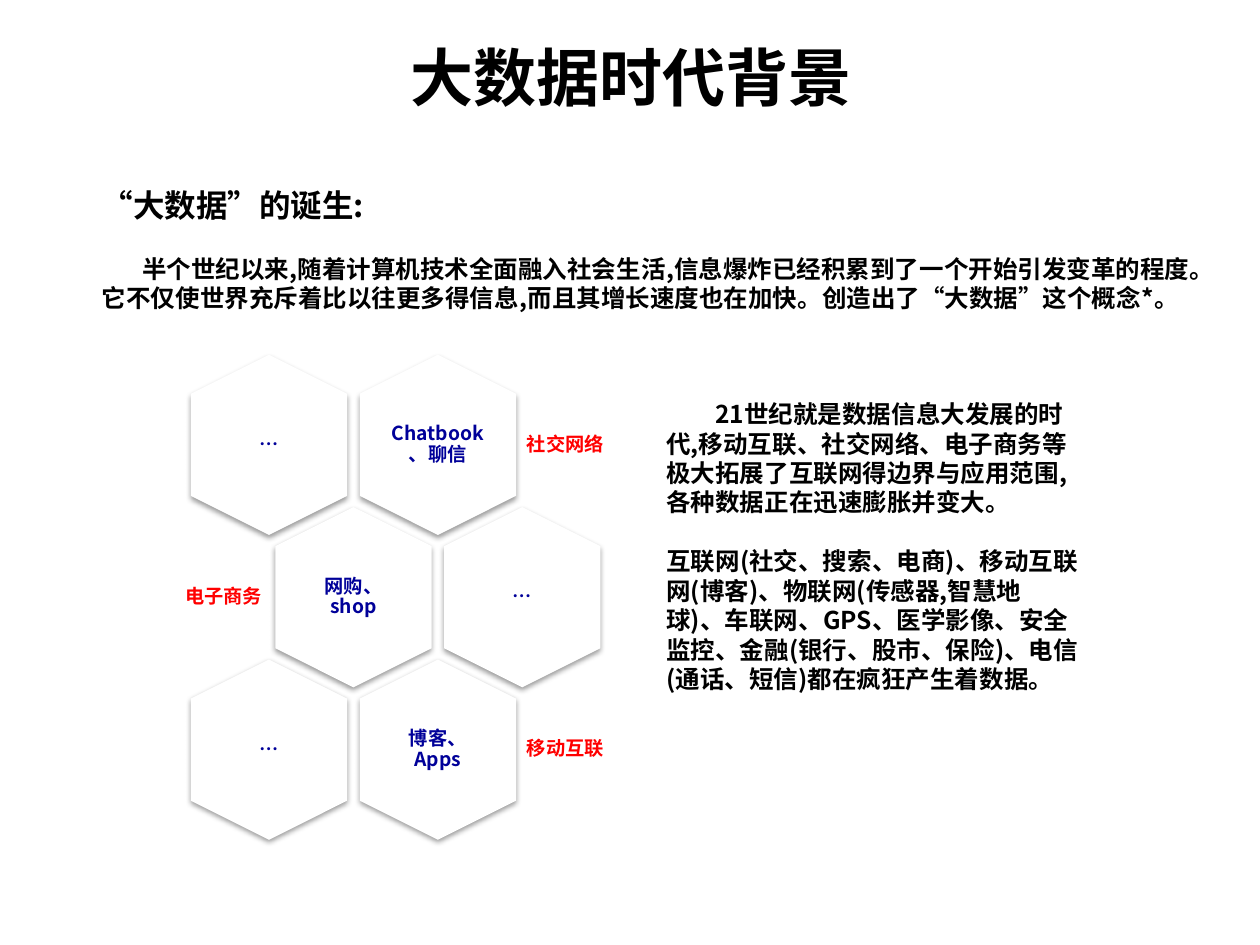
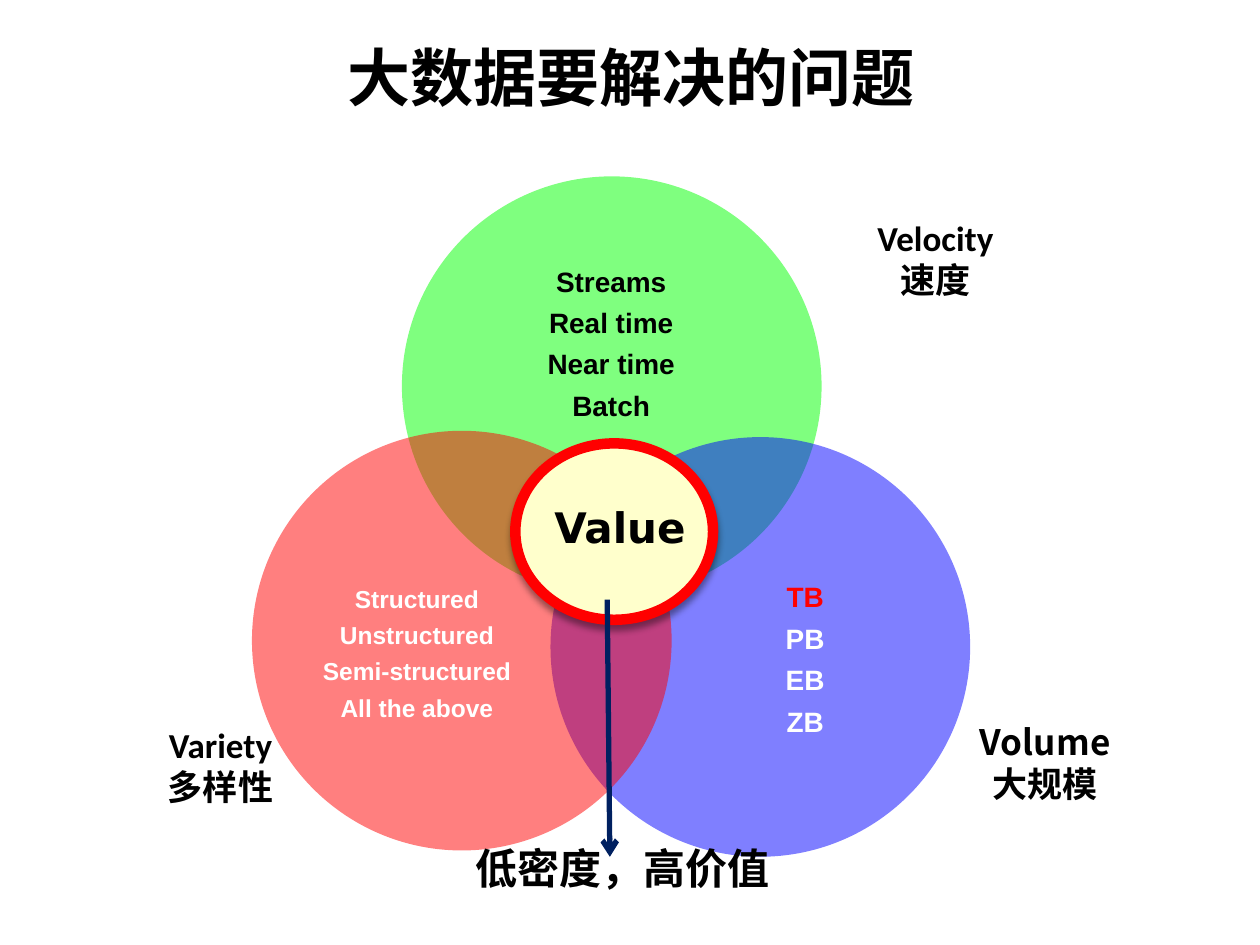
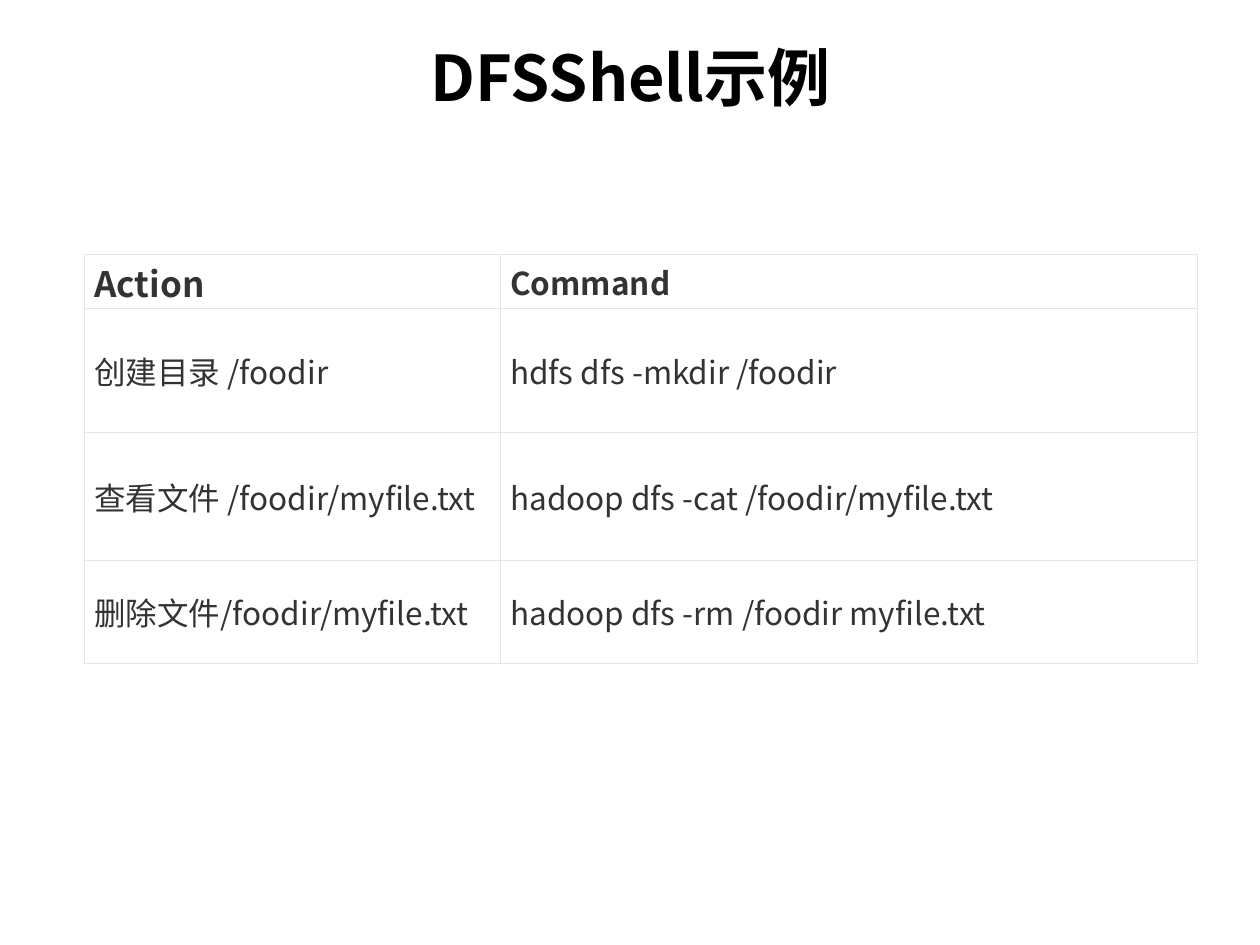
from lxml import etree
from pptx import Presentation
from pptx.dml.color import RGBColor as RGB
from pptx.enum.shapes import MSO_CONNECTOR as LINE, MSO_SHAPE as SHAPE
from pptx.enum.text import MSO_ANCHOR as ANCHOR, PP_ALIGN as ALIGN
from pptx.oxml.ns import qn
from pptx.util import Pt

COLORS = {
    "black": "000000", "white": "FFFFFF", "red": "FF0000", "green": "00FF00",
    "blue": "0000FF", "navy": "000099", "arrow": "002060", "cream": "FFFFCC",
    "gray": "333333", "rule": "E6E6E6",
}
CJK = "Noto Sans CJK SC"
MID, LEFT, RIGHT = ALIGN.CENTER, ALIGN.LEFT, ALIGN.RIGHT


def rgb(name):
    return RGB.from_string(COLORS[name])


def node(parent, tag, **attrs):
    return etree.SubElement(parent, qn(tag), {k: str(v) for k, v in attrs.items()})


class Deck:
    def __init__(self):
        self.prs = Presentation()
        self.prs.slide_width, self.prs.slide_height = Pt(720), Pt(540)
        self.slide = None

    def page(self, title):
        self.slide = self.prs.slides.add_slide(self.prs.slide_layouts[6])
        self.text((36.7, 8.6, 647.3, 69.8), [title], 36, align=MID, anchor=ANCHOR.MIDDLE)

    def style(self, para, size, color="black", font=CJK, bold=True, align=LEFT,
              line=None, before=0, after=0, indent=0):
        para.alignment = align
        if line:
            para.line_spacing = line
        if before:
            para.space_before = Pt(before)
        if after:
            para.space_after = Pt(after)
        if indent:
            para._p.get_or_add_pPr().set("indent", str(Pt(indent)))
        face = para.font
        face.size, face.bold, face.name = Pt(size), bold, font
        face.color.rgb = rgb(color)
        node(para._p.pPr.find(qn("a:defRPr")), "a:ea", typeface=CJK)

    def text(self, box, lines, size, anchor=ANCHOR.TOP, inset=None, **look):
        """Add a text box; a line is a string or a (string, own style) pair."""
        frame = self.slide.shapes.add_textbox(*map(Pt, box)).text_frame
        frame.word_wrap, frame.vertical_anchor = True, anchor
        if inset is not None:
            frame.margin_left = frame.margin_right = Pt(inset)
            frame.margin_top = frame.margin_bottom = Pt(inset)
        for i, item in enumerate(lines):
            words, own = (item, {}) if isinstance(item, str) else item
            para = frame.paragraphs[0] if i == 0 else frame.add_paragraph()
            para.text = words
            self.style(para, **{"size": size, **look, **own})

    def label(self, box, lines, size=11, inset=3.6, **look):
        """Add a tight, vertically centred text box."""
        self.text(box, lines, size, ANCHOR.MIDDLE, inset, line=0.9, **look)

    def shape(self, kind, box, fill, alpha=None, edge=None, shadow=None):
        item = self.slide.shapes.add_shape(kind, *map(Pt, box))
        item.fill.solid()
        item.fill.fore_color.rgb = rgb(fill)
        props = item.element.spPr
        if alpha:
            node(props.find(qn("a:solidFill"))[0], "a:alpha", val=alpha * 1000)
        if edge:
            item.line.color.rgb, item.line.width = rgb(edge), Pt(6)
        else:
            item.line.fill.background()
        item.shadow.inherit = False
        if shadow:
            dark, blur, dist = shadow
            outer = node(props.find(qn("a:effectLst")), "a:outerShdw", blurRad=Pt(blur),
                         dist=Pt(dist), dir=5400000, rotWithShape=0)
            tone = node(outer, "a:srgbClr", val=COLORS["black"])
            node(tone, "a:alpha", val=dark * 1000)
        return item

    def hexagon(self, x, y, words):
        """Add an upright hexagon centred on x, y with its words."""
        wide, high = 103, 89.3
        item = self.shape(SHAPE.HEXAGON, (x - wide / 2, y - high / 2, wide, high),
                          "white", shadow=(38, 3.1, 1.6))
        item.rotation = 90
        item.adjustments[0], item.adjustments[1] = 0.25, 1.1547
        self.label((x - 30.6, y - 35.3, 61.2, 70.6), [words], color="navy", align=MID,
                   inset=0 if words == "…" else 3.6)

    def arrow(self, start, end):
        item = self.slide.shapes.add_connector(LINE.STRAIGHT, *map(Pt, start + end))
        item.line.color.rgb, item.line.width = rgb("arrow"), Pt(3)
        node(item.line._get_or_add_ln(), "a:tailEnd", type="arrow")
        node(item.element.spPr, "a:effectLst")

    def border(self, cell):
        props = cell._tc.get_or_add_tcPr()
        for i, side in enumerate("LRTB"):
            edge = node(props, "a:ln" + side, w=Pt(0.6))
            node(node(edge, "a:solidFill"), "a:srgbClr", val=COLORS["rule"])
            props.insert(i, edge)

    def table(self, spot, cols, rows, data):
        size = sum(cols), sum(rows)
        grid = self.slide.shapes.add_table(len(rows), len(cols), *map(Pt, spot + size)).table
        grid.first_row = grid.horz_banding = False
        for col, wide in zip(grid.columns, cols):
            col.width = Pt(wide)
        for r, (row, high) in enumerate(zip(grid.rows, rows)):
            row.height = Pt(high)
            for c, cell in enumerate(row.cells):
                cell.text = data[r][c]
                cell.vertical_anchor = ANCHOR.MIDDLE
                cell.margin_left = cell.margin_right = Pt(5.8)
                cell.margin_top = cell.margin_bottom = Pt(1.4)
                cell.fill.solid()
                cell.fill.fore_color.rgb = rgb("white")
                self.border(cell)
                self.style(cell.text_frame.paragraphs[0], 20 if r == c == 0 else 18,
                           "gray", bold=r == 0)


def origins(deck):
    deck.page("大数据时代背景")
    deck.text((51.1, 103, 642.2, 79.9), [
        "“大数据”的诞生:",
        ("半个世纪以来,随着计算机技术全面融入社会生活,信息爆炸已经积累到了一个开始引发变革的"
         "程度。它不仅使世界充斥着比以往更多得信息,而且其增长速度也在加快。创造出了“大数据”"
         "这个概念*。", {"size": 14, "before": 16.8, "indent": 23}),
    ], 18)

    left, top, step, drop = 153.7, 254.2, 96.5, 87.1
    rows = [("…", "Chatbook、聊信"), ("网购、shop", "…"), ("…", "博客、Apps")]
    for r, row in enumerate(rows):
        for c, words in enumerate(row):
            deck.hexagon(left + step * (c + r % 2 / 2), top + drop * r, words)
    tags = [("社交网络", 297.4, LEFT), ("电子商务", 42.5, RIGHT), ("移动互联", 297.4, LEFT)]
    for r, (words, x, align) in enumerate(tags):
        deck.label((x, top + drop * r - 31, 111 if align == RIGHT else 114.5, 62),
                   [words], color="red", align=align)

    deck.text((373.7, 224.6, 249.8, 175.7), [
        ("21世纪就是数据信息大发展的时代,移动互联、社交网络、电子商务等极大拓展了互联网得边界与"
         "应用范围,各种数据正在迅速膨胀并变大。", {"indent": 28}),
        ("互联网(社交、搜索、电商)、移动互联网(博客)、物联网(传感器,智慧地球)、车联网、GPS、"
         "医学影像、安全监控、金融(银行、股市、保险)、电信(通话、短信)都在疯狂产生着数据。",
         {"before": 16.8}),
    ], 14)


def problems(deck):
    deck.page("大数据要解决的问题")
    white = {"color": "white"}
    rings = [
        ((229.7, 100.8), "green", (261.4, 143.3, 175.7, 108), 16, "black",
         ["Streams", "Real time", "Near time", "Batch"]),
        ((314.6, 249.8), "blue", (388.1, 311.8, 144, 131.8), 16, "red",
         ["TB", ("PB", white), ("EB", white), ("ZB", white)]),
        ((144, 246.2), "red", (166.3, 308.2, 144, 131.8), 14, "white",
         ["Structured", "Unstructured", "Semi-structured", "All the above"]),
    ]
    for spot, fill, box, size, color, lines in rings:
        deck.shape(SHAPE.OVAL, spot + (239.8, 239.8), fill, alpha=50)
        deck.label(box, lines, size, 0, color=color, font="Arial", align=MID,
                   after=size * 0.4)

    deck.shape(SHAPE.OVAL, (294.5, 253.4, 113, 100.8), "cream", edge="red", shadow=(40, 4, 3))
    captions = [
        ((255.6, 283, 197.3, 36), ["Value"], 24, "DejaVu Sans"),
        ((437, 120.2, 195.1, 55.4), ["Velocity", "速度"], 20, "Calibri"),
        ((27.4, 409.7, 197.3, 55.4), ["Variety", "多样性"], 20, "Calibri"),
        ((499.7, 408.2, 195.1, 55.4), ["Volume", "大规模"], 20, CJK),
        ((241.9, 478.1, 227.5, 36), ["低密度，高价值"], 24, CJK),
    ]
    for box, lines, size, font in captions:
        deck.text(box, lines, size, font=font, align=MID)
    deck.arrow((347, 342.7), (348.5, 489.6))


def shell(deck):
    deck.page("DFSShell示例")
    deck.table((48.2, 145.4), (237.6, 398.2), (31, 70.6, 73.4, 59), [
        ("Action", "Command"),
        ("创建目录 /foodir", "hdfs dfs -mkdir /foodir"),
        ("查看文件 /foodir/myfile.txt", "hadoop dfs -cat /foodir/myfile.txt"),
        ("删除文件/foodir/myfile.txt", "hadoop dfs -rm /foodir myfile.txt"),
    ])


def main():
    deck = Deck()
    for build in (origins, problems, shell):
        build(deck)
    deck.prs.save("out.pptx")


if __name__ == "__main__":
    main()
